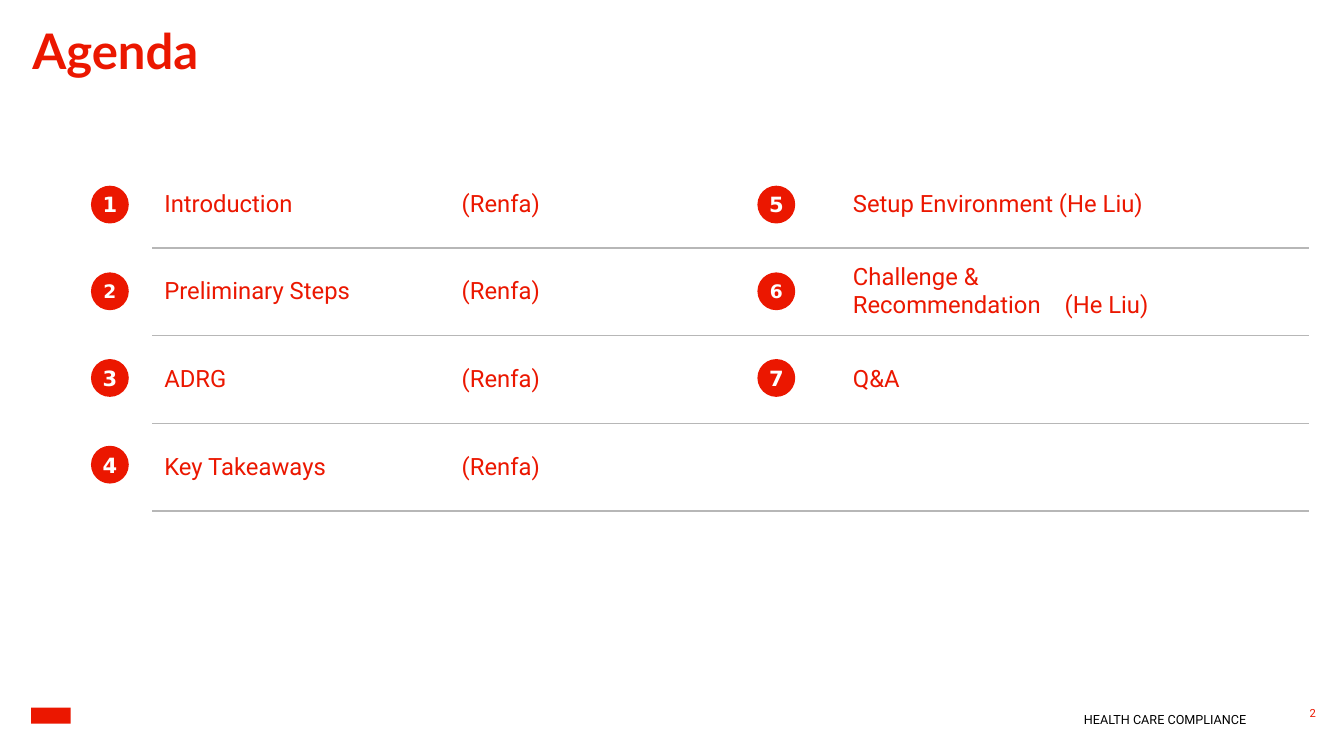
from pptx import Presentation
from pptx.dml.color import RGBColor
from pptx.enum import shapes, text
from pptx.oxml import parse_xml
from pptx.oxml.ns import nsdecls
from pptx.util import Inches, Pt

RED = "EB1700"
GREY = "B7B7B7"
ROW_HEIGHT = 0.87
COLUMN_WIDTHS = (6.89, 4.58)
TAB_STOPS = (2.95, 2.1)
AGENDA = [
    (["Introduction\t(Renfa)"], ["Setup Environment (He Liu)"]),
    (["Preliminary Steps\t(Renfa)"], ["Challenge &", "Recommendation\t(He Liu)"]),
    (["ADRG\t(Renfa)"], ["Q&A"]),
    (["Key Takeaways\t(Renfa)"], []),
    ([], []),
]


def color(hex_code):
    return RGBColor.from_string(hex_code)


def add_span(para, words, size, font, hex_code, bold=False):
    span = para.add_run()
    span.text = words
    span.font.size = Pt(size)
    span.font.name = font
    span.font.bold = bold
    span.font.color.rgb = color(hex_code)


deck = Presentation()
deck.slide_width = Inches(13.33)
deck.slide_height = Inches(7.5)
page = deck.slides.add_slide(deck.slide_layouts[6])

# Title, footer and page number
left, right = text.PP_ALIGN.LEFT, text.PP_ALIGN.RIGHT
top, middle = text.MSO_ANCHOR.TOP, text.MSO_ANCHOR.MIDDLE
for words, place, size, font, hex_code, bold, align, anchor, spacing, inset in [
    ("Agenda", (0.32, 0.29, 10.55, 0.51), 35, "Lato", RED, True, left, top, 0.85, 0),
    ("HEALTH CARE COMPLIANCE", (10.69, 7.03, 1.67, 0.19), 9, "Roboto", "000000", False,
     right, middle, 1.1, 0),
    ("2", (12.73, 6.89, 0.42, 0.36), 8, "Roboto", RED, False, right, middle, 1.1, 0.1),
]:
    box = page.shapes.add_textbox(*map(Inches, place))
    frame = box.text_frame
    frame.word_wrap = True
    frame.vertical_anchor = anchor
    frame.margin_left = frame.margin_right = Inches(inset)
    frame.margin_top = frame.margin_bottom = Inches(inset / 2)
    para = frame.paragraphs[0]
    para.alignment = align
    para.line_spacing = spacing
    para.space_before = para.space_after = Pt(6)
    add_span(para, words, size, font, hex_code, bold)

# Plain mark in the footer
mark = page.shapes.add_shape(shapes.MSO_SHAPE.RECTANGLE,
                             Inches(0.31), Inches(7.02), Inches(0.39), Inches(0.16))
mark.shadow.inherit = False
mark.fill.solid()
mark.fill.fore_color.rgb = color(RED)
mark.line.fill.background()

# Agenda table with grey rules between the rows
table = page.shapes.add_table(len(AGENDA), 2, Inches(1.51), Inches(1.59),
                              Inches(sum(COLUMN_WIDTHS)),
                              Inches(ROW_HEIGHT * len(AGENDA))).table
table.first_row = table.horz_banding = False
for column, width in zip(table.columns, COLUMN_WIDTHS):
    column.width = Inches(width)

for row, topics in enumerate(AGENDA):
    table.rows[row].height = Inches(ROW_HEIGHT)
    for column, lines in enumerate(topics):
        cell = table.cell(row, column)
        cell.vertical_anchor = middle
        cell.margin_left = Inches((0.12, 0.06)[column])
        cell.margin_right = Inches(0.06)
        cell.margin_top = cell.margin_bottom = Inches(0.04)
        cell.fill.background()

        ruled = {"T": row > 0, "B": row < len(AGENDA) - 1}
        properties = cell._tc.get_or_add_tcPr()
        for position, edge in enumerate("LRTB"):
            paint = (f'<a:solidFill><a:srgbClr val="{GREY}"/></a:solidFill>'
                     if ruled.get(edge) else "<a:noFill/>")
            properties.insert(position, parse_xml(
                f'<a:ln{edge} {nsdecls("a")} w="{Pt(1)}">{paint}</a:ln{edge}>'))

        for number, line in enumerate(lines):
            frame = cell.text_frame
            para = frame.add_paragraph() if number else frame.paragraphs[0]
            para._p.get_or_add_pPr().append(parse_xml(
                f'<a:tabLst {nsdecls("a")}>'
                f'<a:tab pos="{Inches(TAB_STOPS[column])}" algn="l"/></a:tabLst>'))
            add_span(para, line, 17, "Roboto", RED)

# Numbered badges: four on the left, three on the right
for index in range(7):
    column, row = divmod(index, 4)
    badge = page.shapes.add_shape(shapes.MSO_SHAPE.OVAL,
                                  Inches((0.92, 7.53)[column]), Inches(1.86 + 0.86 * row),
                                  Inches(0.34), Inches(0.34))
    badge.shadow.inherit = False
    badge.fill.solid()
    badge.fill.fore_color.rgb = color(RED)
    badge.line.color.rgb = color(RED)
    badge.line.width = Pt(2.5)
    frame = badge.text_frame
    frame.word_wrap = False
    frame.vertical_anchor = middle
    frame.margin_left = frame.margin_right = frame.margin_top = frame.margin_bottom = 0
    para = frame.paragraphs[0]
    para.alignment = text.PP_ALIGN.CENTER
    add_span(para, str(index + 1), 13.3 if row == 1 else 15, "DejaVu Sans", "FFFFFF", True)

deck.save("out.pptx")
